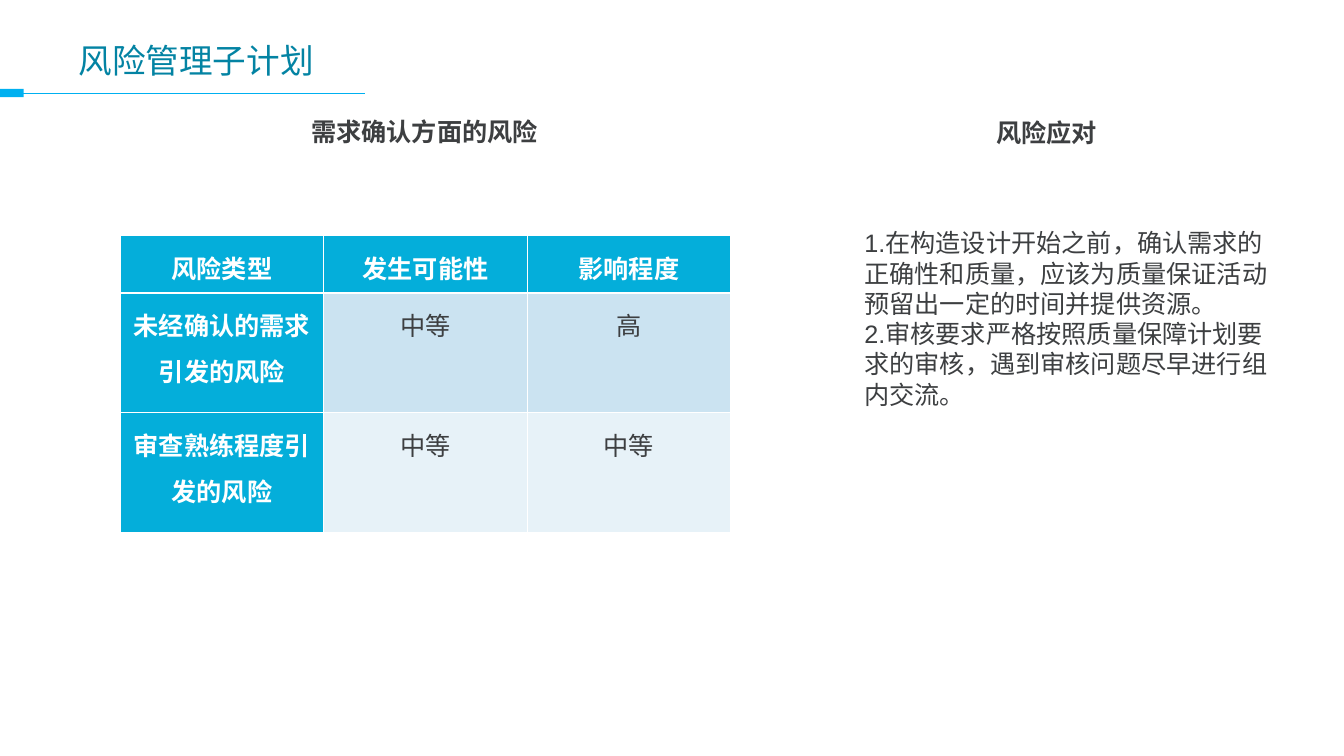
from pptx import Presentation
from pptx.dml.color import RGBColor
from pptx.enum import shapes, text
from pptx.oxml import parse_xml
from pptx.oxml.ns import nsdecls
from pptx.util import Pt
from lxml import etree

SKY = RGBColor(0x00, 0xB0, 0xF0)
TEAL = RGBColor(0x03, 0x83, 0xA3)
CYAN = RGBColor(0x04, 0xAE, 0xDA)
PALE = RGBColor(0xCB, 0xE3, 0xF1)
MIST = RGBColor(0xE7, 0xF2, 0xF8)
INK = RGBColor(0x3D, 0x3F, 0x41)
WHITE = RGBColor(0xFF, 0xFF, 0xFF)


def style(par, size, color, bold=False):
    font = par.font
    font.name, font.size, font.bold = "Arial", Pt(size), bold
    font.color.rgb = color


def edge(cell, side, width):
    cell._tc.get_or_add_tcPr().append(parse_xml(
        f'<a:ln{side} {nsdecls("a")} w="{Pt(width)}"><a:solidFill>'
        f'<a:srgbClr val="{WHITE}"/></a:solidFill></a:ln{side}>'))


prs = Presentation()
prs.slide_width, prs.slide_height = Pt(960.5), Pt(540)
slide = prs.slides.add_slide(prs.slide_layouts[5])

# Rule and tab under the title
rule = slide.shapes.add_connector(
    shapes.MSO_CONNECTOR.STRAIGHT, Pt(260.6), Pt(66.5), Pt(16.6), Pt(66.5))
rule.line.color.rgb = SKY
rule.line.width = Pt(0.75)
etree.SubElement(rule._element.spPr, "{http://schemas.openxmlformats.org/drawingml/2006/main}effectLst")
tab = slide.shapes.add_shape(
    shapes.MSO_SHAPE.RECTANGLE, 0, Pt(63.5), Pt(17), Pt(6))
tab.shadow.inherit = False
tab.fill.solid()
tab.fill.fore_color.rgb = SKY
tab.line.fill.background()

# Title
title = slide.shapes.title
title.left, title.top, title.width, title.height = Pt(49), Pt(20.2), Pt(864), Pt(45.4)
title.text_frame.text = "风险管理子计划"
title.text_frame.vertical_anchor = text.MSO_ANCHOR.MIDDLE
par = title.text_frame.paragraphs[0]
par.alignment = text.PP_ALIGN.LEFT
style(par, 24, TEAL)

# Headings and responses
notes = [
    (610.6, 159.1, 316, 136.8, False,
     ["1.在构造设计开始之前，确认需求的正确性和质量，应该为质量保证活动预留出一定的时间并提供资源。",
      "2.审核要求严格按照质量保障计划要求的审核，遇到审核问题尽早进行组内交流。"]),
    (215.3, 79.2, 176.4, 28.8, True, ["需求确认方面的风险"]),
    (704.9, 80.6, 86.4, 28.8, True, ["风险应对"]),
]
for left, top, width, height, head, lines in notes:
    box = slide.shapes.add_textbox(Pt(left), Pt(top), Pt(width), Pt(height))
    frame = box.text_frame
    frame.word_wrap = not head
    frame.text = "\n".join(lines)
    for par in frame.paragraphs:
        style(par, 18, INK, head)

# Risk table
rows = [
    ["风险类型", "发生可能性", "影响程度"],
    ["未经确认的需求引发的风险", "中等", "高"],
    ["审查熟练程度引发的风险", "中等", "中等"],
]
fills = [CYAN, PALE, MIST]
table = slide.shapes.add_table(
    3, 3, Pt(85.8), Pt(168), Pt(436.5), Pt(212.4)).table
for col in table.columns:
    col.width = Pt(145.5)
for row, high in zip(table.rows, [41, 85.7, 85.7]):
    row.height = Pt(high)
for r, row in enumerate(rows):
    for c, words in enumerate(row):
        cell = table.cell(r, c)
        head = r == 0 or c == 0
        cell.text = words
        cell.margin_left = cell.margin_right = Pt(5.2)
        par = cell.text_frame.paragraphs[0]
        par.alignment = text.PP_ALIGN.CENTER
        par.line_spacing = 1.25
        par.space_after = Pt(6)
        style(par, 18, WHITE if head else INK, head)
        edge(cell, "L", 0.45)
        edge(cell, "R", 0.45)
        edge(cell, "T", 1.47 if r == 1 else 0.45)
        edge(cell, "B", 1.47 if r == 0 else 0.45)
        cell.fill.solid()
        cell.fill.fore_color.rgb = CYAN if head else fills[r]

prs.save("out.pptx")
